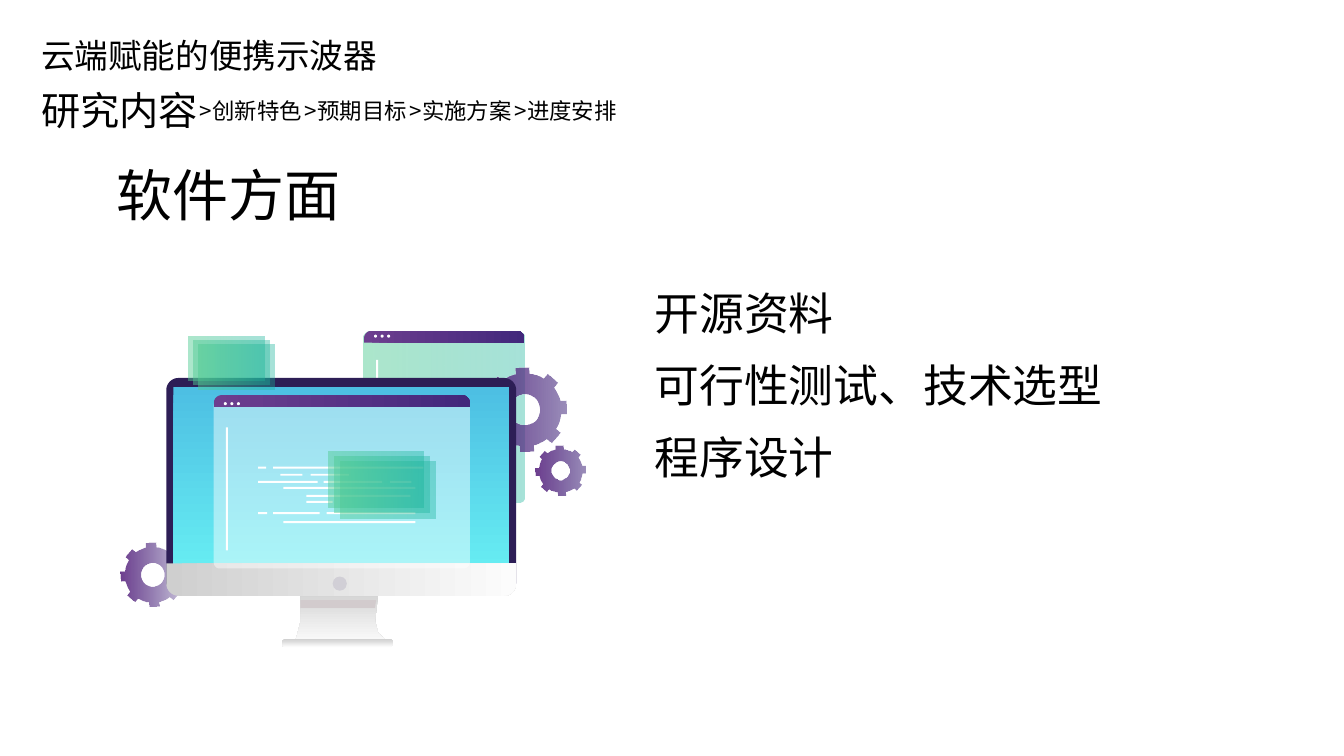
from math import asin, cos, pi, radians, sin

from pptx import Presentation
from pptx.dml.color import RGBColor as RGB
from pptx.enum.shapes import MSO_SHAPE as Kind
from pptx.enum.text import MSO_ANCHOR as Anchor, MSO_AUTO_SIZE as Fit, PP_ALIGN as Align
from pptx.oxml.ns import qn
from pptx.util import Inches, Pt
from lxml.etree import SubElement as Sub

WHITE = [("FFFFFF", 100)]
GLASS = [("FFFFFF", 45)]
GREEN = [("51CC93", 48), ("17B39A", 38)]
PURPLE = [("6D3E8F", 100), ("42287C", 100)]
SILVER = [("CFCFCF", 100), ("FCFCFC", 100)]
SKY = [("4DBFE3", 100), ("66ECF2", 100)]
DOWN = 270
CODE = [
    (0, 0, 0.08), (0.15, 0, 1.49),
    (0.22, 0.07, 0.22), (0.52, 0.07, 0.38),
    (0, 0.14, 0.59), (0.65, 0.14, 0.58), (1.31, 0.14, 0.21),
    (0.25, 0.2, 1.31), (0.48, 0.28, 1.03), (0.48, 0.34, 0.26),
    (0, 0.45, 0.09), (0.15, 0.45, 0.46), (0.68, 0.45, 0.88),
    (0.25, 0.54, 1.31),
]


def tint(color, code):
    color.rgb = RGB.from_string(code)


def arc(x, y, r, start, end, steps):
    turns = [start + (end - start) * i / steps for i in range(steps + 1)]
    return [(x + r * cos(radians(t)), y + r * sin(radians(t))) for t in turns]


class Board:
    face = "Noto Sans CJK SC"
    ink = "000000"

    def __init__(self, slide):
        self.slide = slide
        self.shapes = slide.shapes

    def words(self, shape, box, lines, size, align=Align.LEFT, gap=0):
        shape.left, shape.top, shape.width, shape.height = map(Inches, box)
        frame = shape.text_frame
        frame.text = "\n".join(lines)
        frame.word_wrap = True
        frame.auto_size = Fit.NONE
        frame.vertical_anchor = Anchor.TOP
        for i, para in enumerate(frame.paragraphs):
            props = para._p.get_or_add_pPr()
            props.set("marL", "0")
            props.set("indent", "0")
            Sub(props, qn("a:buNone"))
            para.alignment = align
            para.space_before = Pt(gap if i else 0)
            for run in para.runs:
                run.font.size = Pt(size)
                run.font.name = self.face
                tint(run.font.color, self.ink)
                Sub(run._r.get_or_add_rPr(), qn("a:ea")).set("typeface", self.face)

    def label(self, box, text, size, align=Align.LEFT):
        shape = self.shapes.add_textbox(*map(Inches, box))
        self.words(shape, box, [text], size, align)

    def paint(self, shape, stops, angle=0):
        shape.shadow.inherit = False
        shape.line.fill.background()
        fill = shape.fill
        if len(stops) == 1:
            fill.solid()
            tint(fill.fore_color, stops[0][0])
        else:
            fill.gradient()
            fill.gradient_angle = angle
            for stop, (code, _) in zip(fill.gradient_stops, stops):
                tint(stop.color, code)
        nodes = shape.element.spPr.iter(qn("a:srgbClr"))
        for node, (_, alpha) in zip(list(nodes), stops):
            if alpha < 100:
                Sub(node, qn("a:alpha")).set("val", str(alpha * 1000))

    def block(self, x, y, w, h, stops=WHITE, kind=Kind.RECTANGLE):
        shape = self.shapes.add_shape(kind, *map(Inches, (x, y, w, h)))
        self.paint(shape, stops)

    def dot(self, x, y, size, stops=WHITE):
        self.block(x, y, size, size, stops, Kind.OVAL)

    def form(self, rings, stops, angle=0):
        rings = [[(Inches(x), Inches(y)) for x, y in ring] for ring in rings]
        pen = self.shapes.build_freeform(*rings[0][0])
        for i, ring in enumerate(rings):
            if i:
                pen.move_to(*ring[0])
            pen.add_line_segments(ring[1:], close=True)
        self.paint(pen.convert_to_shape(), stops, angle)

    def panel(self, x, y, w, h, stops, top=0, low=0, angle=0):
        ring = []
        for right, base, r, turn in [(0, 0, top, 180), (1, 0, top, 270),
                                     (1, 1, low, 0), (0, 1, low, 90)]:
            mid = (x + w - r if right else x + r, y + h - r if base else y + r)
            ring += arc(*mid, r, turn, turn + 90, 8) if r else [mid]
        self.form([ring], stops, angle)

    def gear(self, x, y, size, alpha):
        root = size * 0.86
        tip = asin(0.16) * 180 / pi
        foot = asin(0.16 / 0.86) * 180 / pi
        ring = []
        for i in range(8):
            turn = 45 * i - 3
            ring += arc(x, y, size, turn - tip, turn + tip, 1)
            ring += arc(x, y, root, turn + foot, turn + 45 - foot, 4)
        hole = arc(x, y, size * 0.36, 360, 0, 36)
        self.form([ring, hole], [PURPLE[0], (PURPLE[1][0], alpha)])

    def window(self, x, y, w, h, stops, lift, code, scale):
        self.panel(x, y, w, h, stops, 0.06, 0.06)
        self.block(x + 0.12, y + 0.28, 0.02, 1.22)
        for dx, dy, wide in CODE:
            self.block(x + code[0] + dx * scale, y + code[1] + dy, wide * scale, 0.02)
        self.panel(x, y - lift, w, 0.12, PURPLE, top=0.08)
        for i in range(3):
            self.dot(x + 0.1 + 0.065 * i, y + 0.03, 0.03)

    def stack(self, x, y, w, h, shifts):
        for dx, dy in shifts:
            self.block(x + dx, y + dy, w, h, GREEN)


def main():
    deck = Presentation()
    deck.slide_width, deck.slide_height = Inches(13.33), Inches(7.5)
    slide = deck.slides.add_slide(deck.slide_layouts[1])
    board = Board(slide)

    board.words(slide.shapes.title, (1.06, 1.54, 4.79, 0.77), ["软件方面"], 40)
    board.words(slide.placeholders[1], (6.39, 2.78, 6.61, 2.39),
                ["开源资料", "可行性测试、技术选型", "程序设计"], 32, gap=13)
    board.label((0.31, 0.3, 3.9, 0.5), "云端赋能的便携示波器", 24)
    board.label((0.31, 0.81, 1.8, 0.57), "研究内容", 28)
    for i, step in enumerate(["创新特色", "预期目标", "实施方案", "进度安排"]):
        left = 1.85 + 1.04 * i
        board.label((left + 0.16, 0.91, 1.45, 0.37), step, 16)
        board.label((left, 0.91, 0.35, 0.37), ">", 16, Align.RIGHT)

    board.gear(1.51, 5.7, 0.32, 26)
    board.window(3.61, 3.29, 1.59, 1.69, GREEN, 0.01, (0.32, 0.63), 0.51)
    board.gear(5.2, 4.06, 0.42, 52)

    stand = [(2.98, 5.82), (2.98, 6.17), (2.94, 6.33), (2.88, 6.39),
             (3.87, 6.39), (3.75, 6.28), (3.72, 6.16), (3.76, 5.82)]
    board.form([stand], SILVER, DOWN)
    board.panel(2.8, 6.34, 1.1, 0.08, SILVER, 0.03, 0.03, DOWN)
    collar = [(2.98, 5.95), (3.73, 5.95), (3.72, 6.03), (2.98, 6.03)]
    board.form([collar], [("D2CBCD", 100)])
    board.panel(1.65, 3.75, 3.47, 2.14, [("2D1E56", 100)], 0.12, 0.12)
    board.panel(1.72, 3.84, 3.33, 1.78, SKY, angle=DOWN)
    board.panel(1.65, 5.59, 3.47, 0.32, SILVER, low=0.12)
    board.dot(3.3, 5.72, 0.14, [("D1CFD6", 100)])

    board.gear(5.56, 4.67, 0.25, 52)
    board.stack(1.87, 3.34, 0.75, 0.44, [(0, 0), (0.05, 0.04), (0.1, 0.08)])
    board.window(2.12, 3.96, 2.54, 1.68, GLASS, 0.04, (0.44, 0.67), 1)
    board.stack(3.26, 4.48, 0.94, 0.56, [(0.06, 0.05), (0.12, 0.1), (0, 0)])
    deck.save("out.pptx")


if __name__ == "__main__":
    main()
